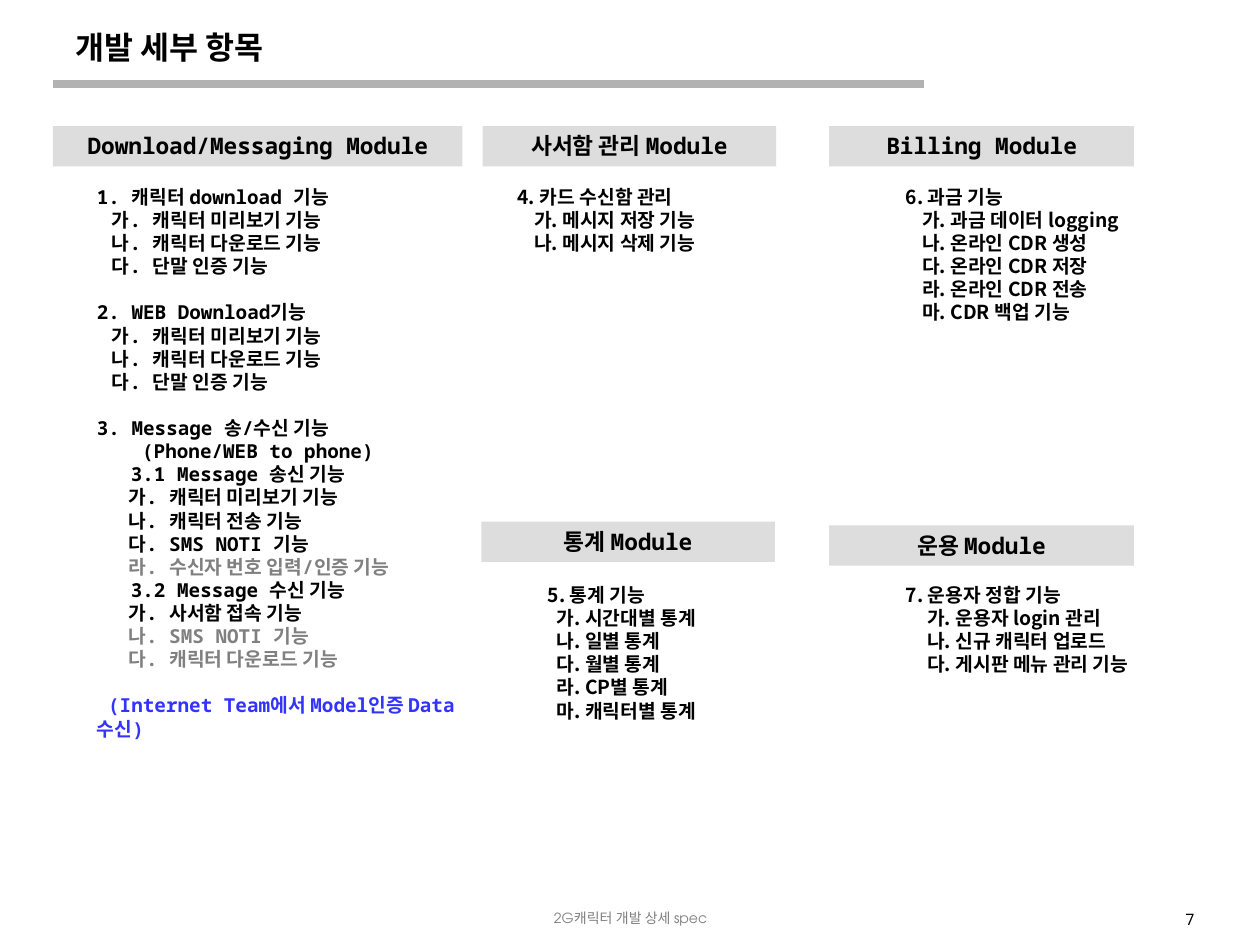
from lxml.etree import SubElement
from pptx import Presentation
from pptx.dml.color import RGBColor
from pptx.enum.shapes import MSO_CONNECTOR, MSO_SHAPE
from pptx.enum.text import MSO_ANCHOR, MSO_AUTO_SIZE, PP_ALIGN
from pptx.oxml.ns import qn
from pptx.util import Inches, Pt

COLORS = {"text": "000000", "muted": "808080", "note": "3333FF",
          "header": "DDDDDD", "rule": "B2B2B2"}
MONO = "Noto Sans Mono"
SANS = "Noto Sans CJK KR"
LINE_HEIGHT = 1.2

# Each line: text, left indent in inches, then optional formatting
DOWNLOAD_ITEMS = [
    ("가. 캐릭터 미리보기 기능", 0.12),
    ("나. 캐릭터 다운로드 기능", 0.12),
    ("다. 단말 인증 기능", 0.12),
]
DOWNLOAD_LINES = [
    ("1. 캐릭터 download 기능", 0),
    *DOWNLOAD_ITEMS,
    ("2. WEB Download기능", 0, {"gap": True}),
    *DOWNLOAD_ITEMS,
    ("3. Message 송/수신 기능", 0, {"gap": True}),
    ("(Phone/WEB to phone)", 0.36),
    ("3.1 Message 송신 기능", 0.27),
    ("가. 캐릭터 미리보기 기능", 0.25),
    ("나. 캐릭터 전송 기능", 0.25),
    ("다. SMS NOTI 기능", 0.25),
    ("라. 수신자 번호 입력/인증 기능", 0.25, {"color": "muted"}),
    ("3.2 Message 수신 기능", 0.27),
    ("가. 사서함 접속 기능", 0.25),
    ("나. SMS NOTI 기능", 0.25, {"color": "muted"}),
    ("다. 캐릭터 다운로드 기능", 0.25, {"color": "muted"}),
    ("(Internet Team에서 Model인증 Data 수신)", 0,
     {"color": "note", "gap": True, "first_line": 0.09}),
]


def numbered_section(heading, items, indent):
    """Return a heading line followed by items lettered in Korean order."""
    lettered = [(f"{letter}. {item}", indent) for letter, item in zip("가나다라마", items)]
    return [(heading, 0), *lettered]


# Each module: title, header box, list box, list font, lines
MODULES = [
    ("Download/Messaging Module", (0.42, 1, 3.25, 0.32), (0.67, 1.42, 3.25, 4.51),
     MONO, DOWNLOAD_LINES),
    ("사서함 관리 Module", (3.83, 1, 2.33, 0.32), (4.01, 1.42, 2.25, 0.65), SANS,
     numbered_section("4. 카드 수신함 관리", ["메시지 저장 기능", "메시지 삭제 기능"], 0.13)),
    ("Billing Module", (6.58, 1, 2.42, 0.32), (7.09, 1.42, 2.2, 1.2), SANS,
     numbered_section("6. 과금 기능", ["과금 데이터 logging", "온라인 CDR 생성", "온라인 CDR 저장",
                                  "온라인 CDR 전송", "CDR 백업 기능"], 0.13)),
    ("통계 Module", (3.82, 4.14, 2.33, 0.32), (4.25, 4.58, 2.33, 1.2), SANS,
     numbered_section("5. 통계 기능", ["시간대별 통계", "일별 통계", "월별 통계",
                                  "CP별 통계", "캐릭터별 통계"], 0.07)),
    ("운용 Module", (6.58, 4.17, 2.42, 0.32), (7.09, 4.58, 2.2, 1.02), SANS,
     numbered_section("7. 운용자 정합 기능", ["운용자 login 관리", "신규 캐릭터 업로드",
                                     "게시판 메뉴 관리 기능"], 0.17)),
]


def to_inches(box):
    return [Inches(length) for length in box]


def color(name):
    return RGBColor.from_string(COLORS[name])


def prepare_frame(text_frame):
    text_frame.word_wrap = True
    text_frame.auto_size = MSO_AUTO_SIZE.NONE
    text_frame.vertical_anchor = MSO_ANCHOR.TOP
    text_frame.margin_left = text_frame.margin_right = Inches(0.1)
    text_frame.margin_top = text_frame.margin_bottom = Inches(0.05)


def write_text(paragraph, text, size, font_name, color_name="text", bold=True,
               align=PP_ALIGN.LEFT, indent=0, first_line=0, gap=False):
    """Write one formatted line; gap leaves one line of space above it."""
    properties = paragraph._p.get_or_add_pPr()
    properties.set("marL", str(Inches(indent)))
    properties.set("indent", str(Inches(first_line)))
    paragraph.alignment = align
    paragraph.line_spacing = Pt(size * LINE_HEIGHT)
    paragraph.space_before = Pt(size * LINE_HEIGHT if gap else 0)
    paragraph.space_after = Pt(0)
    run = paragraph.add_run()
    run.text = text
    run.font.size = Pt(size)
    run.font.name = font_name
    run.font.bold = bold
    run.font.color.rgb = color(color_name)
    SubElement(run._r.get_or_add_rPr(), qn("a:ea"), typeface=SANS)


def add_label(slide, box, text, **text_format):
    text_frame = slide.shapes.add_textbox(*to_inches(box)).text_frame
    prepare_frame(text_frame)
    write_text(text_frame.paragraphs[0], text, **text_format)


def add_title(slide, box, text):
    title = slide.shapes.title
    title.left, title.top, title.width, title.height = to_inches(box)
    prepare_frame(title.text_frame)
    write_text(title.text_frame.paragraphs[0], text, size=18, font_name=SANS)


def add_rule(slide, left, right, top):
    rule = slide.shapes.add_connector(
        MSO_CONNECTOR.STRAIGHT, Inches(left), Inches(top), Inches(right), Inches(top))
    rule.line.color.rgb = color("rule")
    rule.line.width = Pt(4.5)
    SubElement(rule._element.spPr, qn("a:effectLst"))


def add_module_header(slide, box, text):
    header = slide.shapes.add_shape(MSO_SHAPE.RECTANGLE, *to_inches(box))
    header.shadow.inherit = False
    header.fill.solid()
    header.fill.fore_color.rgb = color("header")
    header.line.fill.background()
    prepare_frame(header.text_frame)
    write_text(header.text_frame.paragraphs[0], text, size=13, font_name=MONO,
               align=PP_ALIGN.CENTER)


def add_module_list(slide, box, font_name, lines):
    text_frame = slide.shapes.add_textbox(*to_inches(box)).text_frame
    prepare_frame(text_frame)
    for index, (text, indent, *options) in enumerate(lines):
        paragraph = text_frame.add_paragraph() if index else text_frame.paragraphs[0]
        line_format = options[0] if options else {}
        write_text(paragraph, text, size=11, font_name=font_name, indent=indent,
                   color_name=line_format.get("color", "text"),
                   first_line=line_format.get("first_line", 0),
                   gap=line_format.get("gap", False))


def add_footer(slide):
    add_label(slide, (3.42, 7.17, 3.17, 0.25), "2G캐릭터 개발 상세 spec", size=8,
              font_name="TeX Gyre Adventor", color_name="muted", bold=False,
              align=PP_ALIGN.CENTER)
    add_label(slide, (7.5, 7.17, 2.08, 0.25), "7", size=9, font_name=MONO,
              bold=False, align=PP_ALIGN.RIGHT)


def main():
    presentation = Presentation()
    presentation.slide_width = Inches(10)
    presentation.slide_height = Inches(7.5)
    slide = presentation.slides.add_slide(presentation.slide_layouts.get_by_name("Title Only"))
    add_title(slide, (0.5, 0.17, 5.67, 0.4), "개발 세부 항목")
    add_rule(slide, left=0.42, right=7.33, top=0.67)
    for title, header_box, list_box, font_name, lines in MODULES:
        add_module_header(slide, header_box, title)
        add_module_list(slide, list_box, font_name, lines)
    add_footer(slide)
    presentation.save("out.pptx")


if __name__ == "__main__":
    main()
